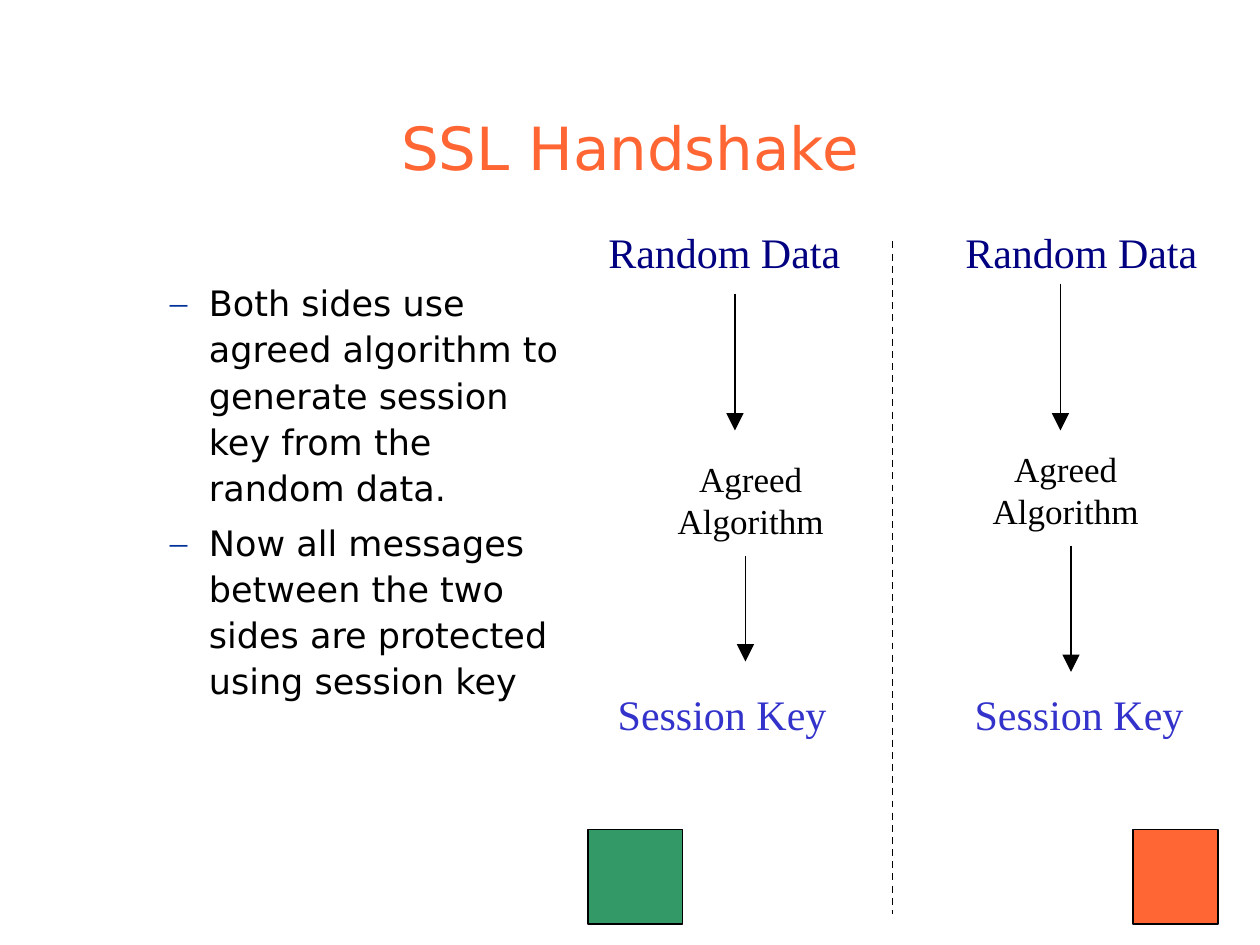
from lxml import etree
from pptx import Presentation
from pptx.dml.color import RGBColor
from pptx.enum.dml import MSO_LINE
from pptx.enum.shapes import MSO_CONNECTOR, MSO_SHAPE
from pptx.enum.text import MSO_ANCHOR, PP_ALIGN
from pptx.oxml.ns import qn
from pptx.util import Inches, Pt

COLORS = {"orange": "FF6633", "green": "339966", "navy": "000080",
          "indigo": "3333CC", "bullet": "003399", "black": "000000"}
SANS, SERIF = "DejaVu Sans", "Times New Roman"

prs = Presentation()
prs.slide_width, prs.slide_height = Inches(10), Inches(7.5)
s = prs.slides.add_slide(prs.slide_layouts[6])

# Grid of 120 columns by 90 rows
U = prs.slide_width / 120


def add_text(box, lines, size, font, color, align=PP_ALIGN.LEFT):
    tf = s.shapes.add_textbox(*[round(v * U) for v in box]).text_frame
    tf.word_wrap = True
    for i, line in enumerate(lines):
        p = tf.add_paragraph() if i else tf.paragraphs[0]
        p.alignment = align
        r = p.add_run()
        r.text = line
        r.font.size, r.font.name = Pt(size), font
        r.font.color.rgb = RGBColor.from_string(COLORS[color])
    return tf


def add_line(x, top, bottom):
    c = s.shapes.add_connector(MSO_CONNECTOR.STRAIGHT,
                               *[round(v * U) for v in (x, top, x, bottom)])
    c.line.width = Pt(1)
    c.line.color.rgb = RGBColor.from_string(COLORS["black"])
    etree.SubElement(c._element.spPr, qn("a:effectLst"))
    return c


# Title
tf = add_text((9, 8, 102, 10), ["SSL Handshake"], 34, SANS, "orange", PP_ALIGN.CENTER)
tf.vertical_anchor = MSO_ANCHOR.BOTTOM

# Dashed bullet list
tf = add_text((9, 25.85, 47, 52.15), [
    "Both sides use agreed algorithm to generate session key from the random data.",
    "Now all messages between the two sides are protected using session key",
], 20, SANS, "black")
for i, p in enumerate(tf.paragraphs):
    p.line_spacing = 1.1
    p.space_before = Pt(5 if i else 0)
    pPr = p._p.get_or_add_pPr()
    pPr.set("marL", str(Inches(0.81)))
    pPr.set("indent", str(Inches(-0.31)))
    buClr = etree.SubElement(pPr, qn("a:buClr"))
    etree.SubElement(buClr, qn("a:srgbClr"), val=COLORS["bullet"])
    etree.SubElement(pPr, qn("a:buFont"), typeface=SERIF)
    etree.SubElement(pPr, qn("a:buChar"), char="–")

# Divider between the two sides
add_line(85, 23, 87).line.dash_style = MSO_LINE.DASH

# Each side: offset of its labels, then column and row of the middle one
for dx, algo_x, algo_y in [(0, 62, 43), (34, 92, 42)]:
    add_text((56.75 + dx, 21, 27, 5.5), ["Random Data"], 24, SERIF, "navy")
    add_text((algo_x, algo_y, 19, 9.25), ["Agreed Algorithm"], 20, SERIF, "black",
             PP_ALIGN.CENTER)
    add_text((57.65 + dx, 65, 25, 6.75), ["Session Key"], 24, SERIF, "indigo")

# Arrows down each side
for x, top, bottom in [(70, 28, 41), (71, 53, 63), (101, 27, 41), (102, 52, 64)]:
    ln = add_line(x, top, bottom).line._get_or_add_ln()
    etree.SubElement(ln, qn("a:tailEnd"), type="triangle", w="lg", len="lg")

# Squares for the two parties
for x, width, color in [(56, 9, "green"), (107.9, 8.1, "orange")]:
    sp = s.shapes.add_shape(MSO_SHAPE.RECTANGLE,
                            *[round(v * U) for v in (x, 79, width, 9)])
    sp.shadow.inherit = False
    sp.fill.solid()
    sp.fill.fore_color.rgb = RGBColor.from_string(COLORS[color])
    sp.line.color.rgb = RGBColor.from_string(COLORS["black"])
    sp.line.width = Pt(1)

prs.save("out.pptx")
